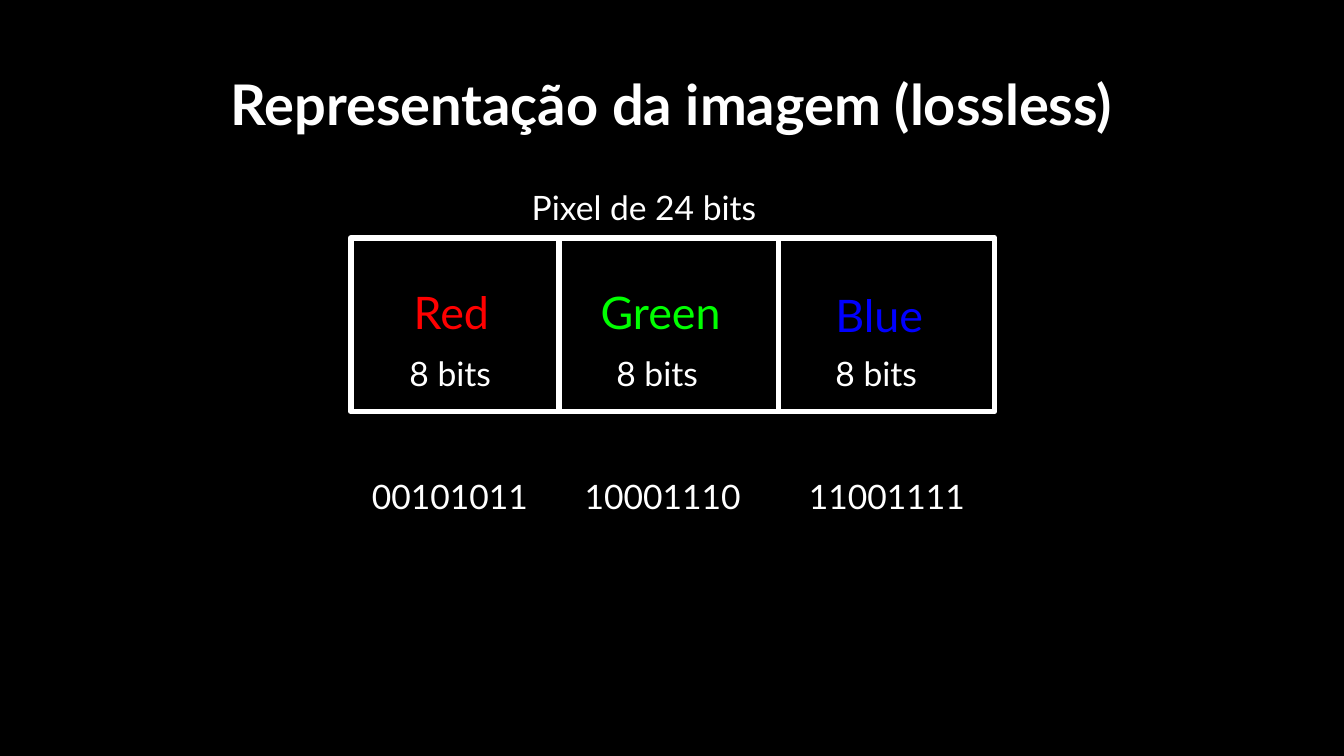
from lxml.etree import SubElement
from pptx import Presentation
from pptx.dml.color import RGBColor
from pptx.enum.shapes import MSO_CONNECTOR, MSO_SHAPE
from pptx.enum.text import MSO_ANCHOR, PP_ALIGN
from pptx.oxml.ns import qn
from pptx.util import Cm, Pt

BLACK = RGBColor(0x00, 0x00, 0x00)
WHITE = RGBColor(0xFF, 0xFF, 0xFF)
RED = RGBColor(0xFF, 0x00, 0x00)
GREEN = RGBColor(0x00, 0xFF, 0x00)
BLUE = RGBColor(0x00, 0x00, 0xFF)

FONT = "Lato"
INSET = Cm(0.25)
BORDER = Pt(3)

# Channel name, colour, name box (left, top, width), bits left, code, code left
CHANNELS = [
    ("Red", RED, (7.57, 5.13, 2.46), 7.49, "00101011", 6.78),
    ("Green", GREEN, (11.1, 5.13, 3.94), 11.4, "10001110", 10.8),
    ("Blue", BLUE, (15.54, 5.18, 2.9), 15.54, "11001111", 15.04),
]


def write(shape, text, size, color=WHITE, bold=False, align=PP_ALIGN.LEFT):
    frame = shape.text_frame
    frame.word_wrap = True
    frame.vertical_anchor = MSO_ANCHOR.TOP
    frame.margin_left = frame.margin_right = INSET
    frame.margin_top = frame.margin_bottom = INSET
    frame.text = text
    paragraph = frame.paragraphs[0]
    paragraph.alignment = align
    font = paragraph.font
    font.name, font.size, font.bold = FONT, Pt(size), bold
    font.color.rgb = color


def add_label(slide, text, left, top, width, height, size=18, color=WHITE):
    label = slide.shapes.add_textbox(Cm(left), Cm(top), Cm(width), Cm(height))
    write(label, text, size, color)


def add_title(slide, text):
    title = slide.shapes.title
    title.left, title.top = Cm(0.86), Cm(1.07)
    title.width, title.height = Cm(23.67), Cm(1.91)
    write(title, text, 30, bold=True, align=PP_ALIGN.CENTER)


def add_pixel_frame(slide):
    pixel = slide.shapes.add_shape(
        MSO_SHAPE.RECTANGLE, Cm(6.63), Cm(4.5), Cm(12.17), Cm(3.28))
    pixel.shadow.inherit = False
    pixel.fill.background()
    pixel.line.color.rgb = WHITE
    pixel.line.width = BORDER
    SubElement(pixel.line._get_or_add_ln(), qn("a:round"))


def add_divider(slide, x, top, bottom):
    divider = slide.shapes.add_connector(
        MSO_CONNECTOR.STRAIGHT, Cm(x), Cm(top), Cm(x), Cm(bottom))
    divider.line.color.rgb = WHITE
    divider.line.width = BORDER
    SubElement(divider._element.spPr, qn("a:effectLst"))


def add_channel(slide, name, color, name_box, bits_left, code, code_left):
    left, top, width = name_box
    add_label(slide, name, left, top, width, 1.45, 24, color)
    add_label(slide, "8 bits", bits_left, 6.43, 2.46, 1.45)
    add_label(slide, code, code_left, 8.74, 3.94, 1.02)


def main():
    presentation = Presentation()
    presentation.slide_width = Cm(25.4)
    presentation.slide_height = Cm(14.29)
    slide = presentation.slides.add_slide(presentation.slide_layouts[5])
    slide.background.fill.solid()
    slide.background.fill.fore_color.rgb = BLACK

    add_title(slide, "Representação da imagem (lossless)")

    # Pixel split into three channels
    add_pixel_frame(slide)
    add_label(slide, "Pixel de 24 bits", 9.8, 3.28, 6.71, 2.26)
    add_divider(slide, 10.57, 4.52, 7.77)
    add_divider(slide, 14.71, 4.55, 7.8)

    # Name, size and binary value of each channel
    for channel in CHANNELS:
        add_channel(slide, *channel)

    presentation.save("out.pptx")


if __name__ == "__main__":
    main()
